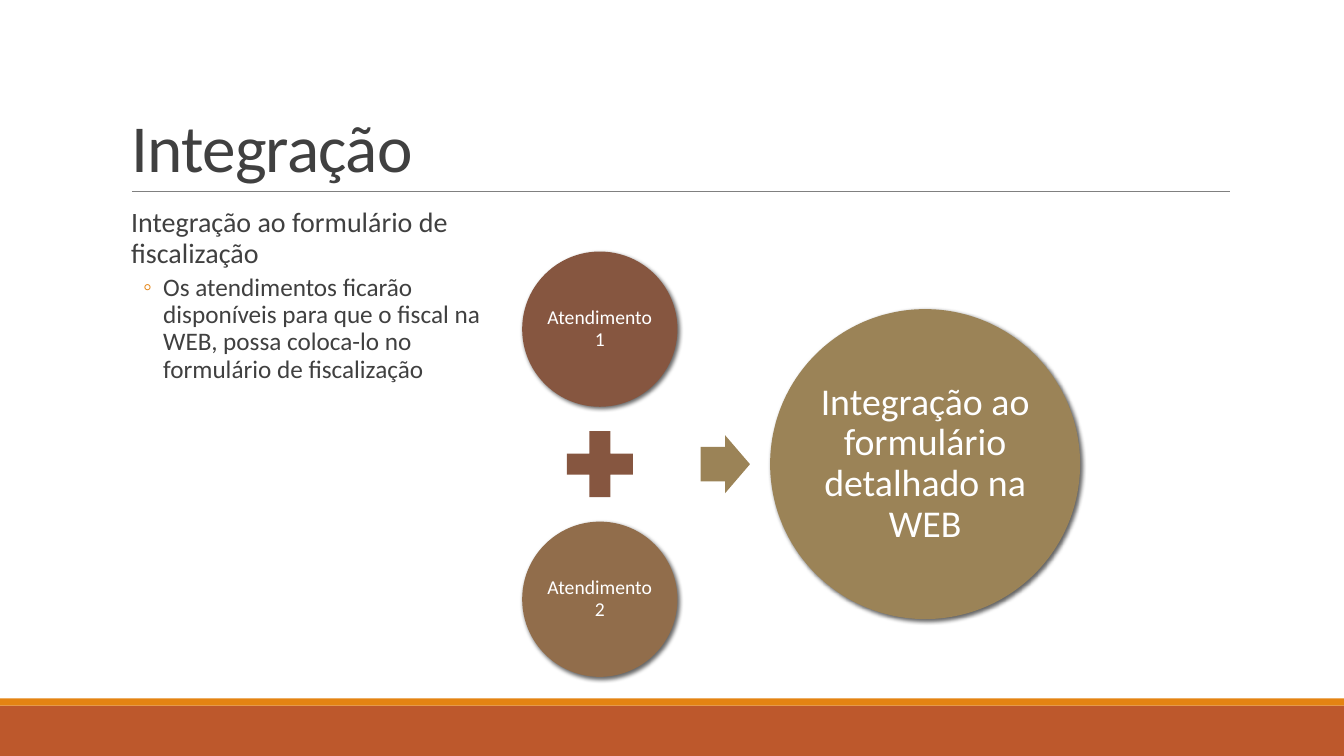
from lxml import etree
from pptx import Presentation
from pptx.dml.color import RGBColor
from pptx.enum.shapes import MSO_CONNECTOR, MSO_SHAPE
from pptx.enum.text import MSO_ANCHOR, MSO_AUTO_SIZE, PP_ALIGN
from pptx.oxml.ns import qn
from pptx.util import Pt

RECT, OVAL = MSO_SHAPE.RECTANGLE, MSO_SHAPE.OVAL
PLUS, ARROW = MSO_SHAPE.MATH_PLUS, MSO_SHAPE.RIGHT_ARROW
LINE = MSO_CONNECTOR.STRAIGHT
LEFT, CENTER = PP_ALIGN.LEFT, PP_ALIGN.CENTER
TOP, MIDDLE, BOTTOM = MSO_ANCHOR.TOP, MSO_ANCHOR.MIDDLE, MSO_ANCHOR.BOTTOM
NO_FIT = MSO_AUTO_SIZE.NONE

FONT = "Calibri"
DARK, WHITE, GREY = "404040", "FFFFFF", "808080"
RUST, ORANGE = "BD582C", "E48312"
BROWN, TAN, SAND = "865640", "916D4B", "9B8357"


def color(text):
    return RGBColor.from_string(text)


def add_node(parent, tag, **attrs):
    return etree.SubElement(parent, qn(tag), attrs)


def place(shape, x, y, w, h):
    shape.left, shape.top = Pt(x), Pt(y)
    shape.width, shape.height = Pt(w), Pt(h)


def set_frame(frame, anchor, pad_x, pad_y):
    frame.word_wrap = True
    frame.auto_size = NO_FIT
    frame.vertical_anchor = anchor
    frame.margin_left = frame.margin_right = Pt(pad_x)
    frame.margin_top = frame.margin_bottom = Pt(pad_y)


def style(para, size, ink, align=LEFT, line=0.9, before=0, after=0):
    para.alignment = align
    para.line_spacing = line
    para.space_before, para.space_after = Pt(before), Pt(after)
    for run in para.runs:
        run.font.name, run.font.size = FONT, Pt(size)
        run.font.color.rgb = color(ink)


def indent(para, left, hang=0, mark=None):
    props = para._p.get_or_add_pPr()
    props.set("marL", str(Pt(left)))
    props.set("indent", str(Pt(-hang)))
    if mark:
        tint = add_node(props, "a:buClr")
        add_node(tint, "a:srgbClr", val=ORANGE)
        add_node(props, "a:buChar", char=mark)
    else:
        add_node(props, "a:buNone")


def add_shape(slide, kind, x, y, w, h, fill):
    shape = slide.shapes.add_shape(kind, Pt(x), Pt(y), Pt(w), Pt(h))
    shape.shadow.inherit = False
    shape.fill.solid()
    shape.fill.fore_color.rgb = color(fill)
    shape.line.fill.background()
    return shape


def add_disc(slide, x, y, width, fill, text, size, pad):
    disc = add_shape(slide, OVAL, x, y, width, width, fill)
    # Soft shadow to the lower right
    effects = disc._element.spPr.find(qn("a:effectLst"))
    shade = add_node(effects, "a:outerShdw", blurRad=str(Pt(3)),
                     dist=str(Pt(2)), dir="2700000", rotWithShape="0")
    tint = add_node(shade, "a:srgbClr", val="000000")
    add_node(tint, "a:alpha", val="60000")
    set_frame(disc.text_frame, MIDDLE, pad, pad)
    disc.text_frame.text = text
    style(disc.text_frame.paragraphs[0], size, WHITE, CENTER)


def add_rule(slide, x, y, end):
    rule = slide.shapes.add_connector(LINE, Pt(x), Pt(y), Pt(end), Pt(y))
    rule.line.color.rgb = color(GREY)
    rule.line.width = Pt(0.5)
    add_node(rule._element.spPr, "a:effectLst")


def fill_title(title, text):
    place(title, 86.4, 22.6, 792, 114.2)
    set_frame(title.text_frame, BOTTOM, 7.2, 3.6)
    title.text_frame.text = text
    para = title.text_frame.paragraphs[0]
    style(para, 48, DARK, line=0.85)
    para.runs[0].font._element.set("spc", "-50")


def fill_body(body, head, item):
    place(body, 86.4, 145.4, 285, 316.8)
    frame = body.text_frame
    set_frame(frame, TOP, 0, 3.6)
    frame.text = head
    first = frame.paragraphs[0]
    indent(first, 7.2)
    style(first, 20, DARK, after=2)
    para = frame.add_paragraph()
    para.text, para.level = item, 1
    indent(para, 30.2, 14.4, "◦")
    style(para, 18, DARK, before=2, after=4)


def main():
    deck = Presentation()
    deck.slide_width, deck.slide_height = Pt(960), Pt(540)
    slide = deck.slides.add_slide(deck.slide_layouts[1])

    # Footer bands and title rule
    add_shape(slide, RECT, 0, 504, 960, 36, RUST)
    add_shape(slide, RECT, 0, 498.8, 960, 5.2, ORANGE)
    add_rule(slide, 94.2, 136.8, 878.8)

    # Title and list
    fill_title(slide.shapes.title, "Integração")
    fill_body(slide.placeholders[1], "Integração ao formulário de fiscalização",
              "Os atendimentos ficarão disponíveis para que o fiscal na WEB, "
              "possa coloca-lo no formulário de fiscalização")

    # Two visits add up to the detailed form
    for i, fill in enumerate((BROWN, TAN)):
        add_disc(slide, 373, 179.7 + i * 192.9, 110.9, fill,
                 f"Atendimento {i + 1}", 14, 1.4)
    add_shape(slide, PLUS, 396.4, 299.4, 64.3, 64.3, BROWN)
    arrow = add_shape(slide, ARROW, 500.4, 311, 35.3, 41.2, SAND)
    arrow.adjustments[0], arrow.adjustments[1] = 0.6, 0.5
    add_disc(slide, 550.1, 220.8, 221.4, SAND,
             "Integração ao formulário detalhado na WEB", 27, 2.7)

    deck.save("out.pptx")


if __name__ == "__main__":
    main()
